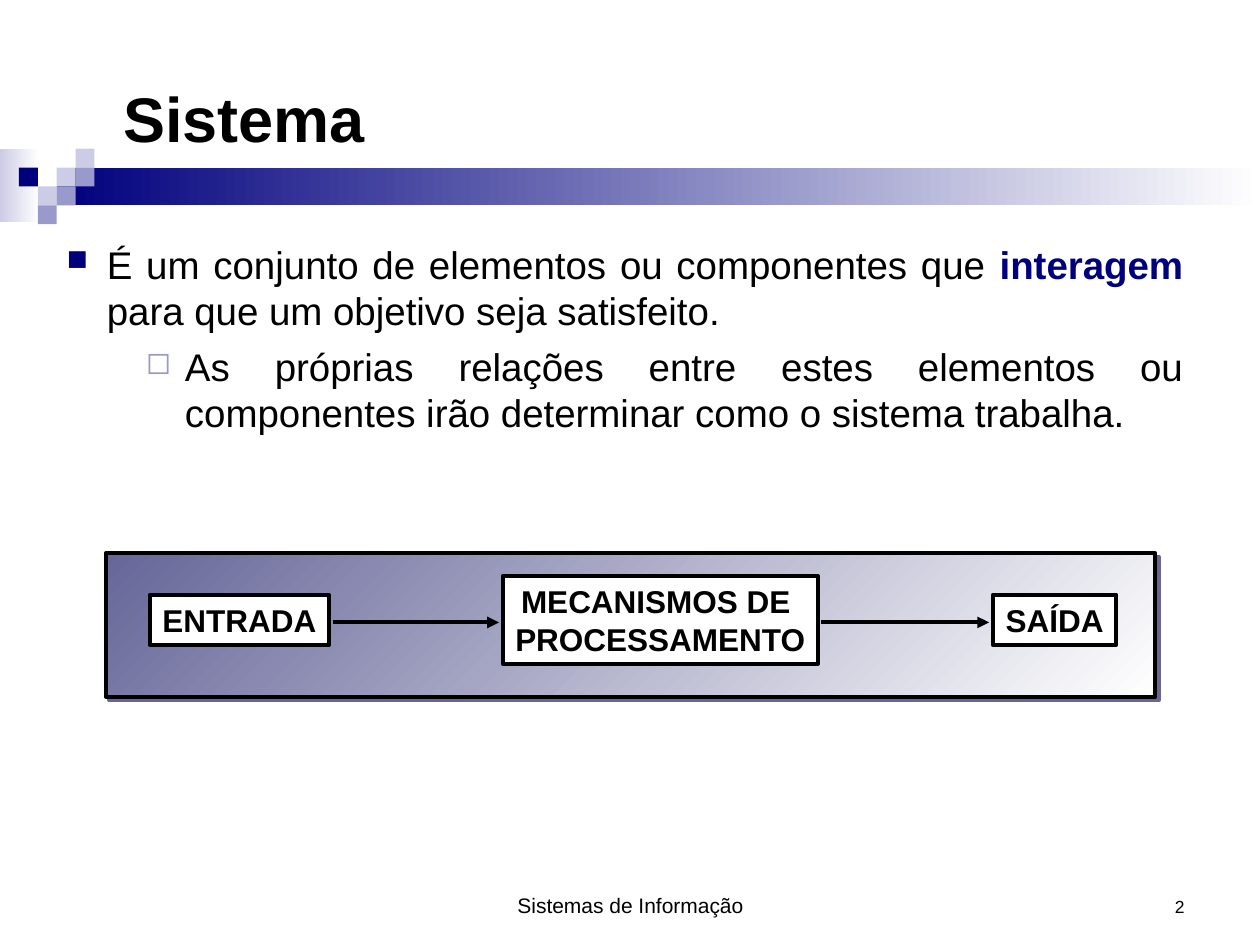
from lxml import etree
from pptx import Presentation
from pptx.dml.color import RGBColor
from pptx.enum.shapes import MSO_CONNECTOR, MSO_SHAPE
from pptx.enum.text import MSO_ANCHOR, MSO_AUTO_SIZE, PP_ALIGN
from pptx.oxml.ns import qn
from pptx.util import Inches, Pt

RECT, STRAIGHT = MSO_SHAPE.RECTANGLE, MSO_CONNECTOR.STRAIGHT
BOTTOM, MIDDLE, TOP = MSO_ANCHOR.BOTTOM, MSO_ANCHOR.MIDDLE, MSO_ANCHOR.TOP
LEFT, CENTER, RIGHT = PP_ALIGN.LEFT, PP_ALIGN.CENTER, PP_ALIGN.RIGHT
JUSTIFY = PP_ALIGN.JUSTIFY
NO_FIT = MSO_AUTO_SIZE.NONE

FONT = "Arial"
COLORS = {
    "black": "000000",
    "white": "FFFFFF",
    "navy": "00007D",
    "lilac": "9999CC",
    "pale": "CCCCE6",
    "slate": "666699",
}


def rgb(name):
    return RGBColor.from_string(COLORS[name])


def style_font(font, size, bold=False, color="black"):
    font.name, font.size, font.bold = FONT, Pt(size), bold
    font.color.rgb = rgb(color)


def add_rect(slide, left, top, width, height, fill, angle=0, outlined=False):
    """Rectangle with one colour, or a gradient when fill is a pair."""
    sp = slide.shapes.add_shape(
        RECT, Inches(left), Inches(top), Inches(width), Inches(height))
    sp.shadow.inherit = False
    if isinstance(fill, tuple):
        sp.fill.gradient()
        sp.fill.gradient_angle = angle
        for stop, name in zip(sp.fill.gradient_stops, fill):
            stop.color.rgb = rgb(name)
    else:
        sp.fill.solid()
        sp.fill.fore_color.rgb = rgb(fill)
    if outlined:
        sp.line.color.rgb = rgb("black")
        sp.line.width = Pt(2.25)
    else:
        sp.line.fill.background()
    return sp


def add_band(slide, left, top):
    """Gradient band with a mosaic of small squares at its left end."""
    side = 0.15
    add_rect(slide, left, top, 0.31, 0.58, ("pale", "white"))
    add_rect(slide, 0.45, top + side, 9.55, 2 * side, ("navy", "white"))
    squares = [  # column, row, colour
        (3, 1, "pale"), (4, 0, "pale"), (4, 1, "lilac"), (2, 2, "pale"),
        (1, 1, "navy"), (3, 2, "lilac"), (2, 3, "lilac"),
    ]
    for col, row, color in squares:
        add_rect(slide, left + col * side, top + row * side, side, side, color)


def add_title(slide, left, top, width, height, text):
    title = slide.shapes.title
    title.left, title.top = Inches(left), Inches(top)
    title.width, title.height = Inches(width), Inches(height)
    tf = title.text_frame
    tf.text = text
    tf.auto_size, tf.vertical_anchor = NO_FIT, BOTTOM
    p = tf.paragraphs[0]
    p.alignment = LEFT
    style_font(p.runs[0].font, 36, bold=True)


def add_textbox(slide, left, top, width, height, anchor):
    box = slide.shapes.add_textbox(
        Inches(left), Inches(top), Inches(width), Inches(height))
    tf = box.text_frame
    tf.word_wrap, tf.vertical_anchor = True, anchor
    return tf


def set_bullet(p, char, color, percent, left, hanging):
    pPr = p._p.get_or_add_pPr()
    pPr.set("marL", str(Inches(left)))
    pPr.set("indent", str(-Inches(hanging)))
    bu_color = etree.SubElement(pPr, qn("a:buClr"))
    etree.SubElement(bu_color, qn("a:srgbClr"), val=COLORS[color])
    etree.SubElement(pPr, qn("a:buSzPct"), val=str(percent * 1000))
    etree.SubElement(pPr, qn("a:buChar"), char=char)


def add_body(slide, left, top, width, height):
    tf = add_textbox(slide, left, top, width, height, TOP)
    first, second = tf.paragraphs[0], tf.add_paragraph()
    second.level = 1
    second.space_before = Pt(5.5)
    set_bullet(first, "■", "navy", 75, 0.32, 0.32)
    set_bullet(second, "◻", "lilac", 80, 0.94, 0.31)
    texts = [
        (first, "É um conjunto de elementos ou componentes que ", False),
        (first, "interagem", True),
        (first, " para que um objetivo seja satisfeito.", False),
        (second, "As próprias relações entre estes elementos ou componentes "
                 "irão determinar como o sistema trabalha.", False),
    ]
    for p, text, strong in texts:
        p.alignment = JUSTIFY
        r = p.add_run()
        r.text = text
        style_font(r.font, 22, strong, "navy" if strong else "black")


def add_hard_shadow(sp, color):
    effects = sp._element.spPr.find(qn("a:effectLst"))
    shadow = etree.SubElement(
        effects, qn("a:outerShdw"), dist=str(Pt(2.8)), dir=str(45 * 60000),
        algn="ctr", rotWithShape="0")
    etree.SubElement(shadow, qn("a:srgbClr"), val=COLORS[color])


def add_step(slide, left, top, width, height, text):
    sp = add_rect(slide, left, top, width, height, "white", outlined=True)
    tf = sp.text_frame
    tf.text = text
    tf.word_wrap, tf.vertical_anchor = False, MIDDLE
    for p in tf.paragraphs:
        p.alignment = CENTER
        style_font(p.runs[0].font, 18, bold=True)


def add_arrow(slide, start, end, y):
    line = slide.shapes.add_connector(
        STRAIGHT, Inches(start), Inches(y), Inches(end), Inches(y))
    line.line.color.rgb = rgb("black")
    line.line.width = Pt(2.25)
    etree.SubElement(line.line._get_or_add_ln(), qn("a:tailEnd"), type="triangle")
    etree.SubElement(line._element.spPr, qn("a:effectLst"))


def add_flow(slide, left, top, width, height):
    """Shaded panel with three steps joined by arrows."""
    panel = add_rect(slide, left, top, width, height, ("slate", "white"),
                     angle=315, outlined=True)
    add_hard_shadow(panel, "slate")
    middle, gap = top + 0.53, 0.03
    steps = [  # offset, width, height, text
        (0.35, 1.42, 0.4, "ENTRADA"),
        (3.15, 2.5, 0.7, "MECANISMOS DE \nPROCESSAMENTO"),
        (7.04, 0.98, 0.4, "SAÍDA"),
    ]
    for x, w, h, text in steps:
        add_step(slide, left + x, middle - h / 2, w, h, text)
    for (x, w, _, _), (next_x, _, _, _) in zip(steps, steps[1:]):
        add_arrow(slide, left + x + w + gap, left + next_x - gap, top + 0.55)


def add_footer(slide, top, height):
    items = [
        (3.42, 3.17, "Sistemas de Informação", 12, CENTER),
        (7.17, 2.33, "2", 10, RIGHT),
    ]
    for left, width, text, size, align in items:
        tf = add_textbox(slide, left, top, width, height, BOTTOM)
        tf.text = text
        p = tf.paragraphs[0]
        p.alignment = align
        style_font(p.runs[0].font, size)


def main():
    prs = Presentation()
    prs.slide_width, prs.slide_height = Inches(10), Inches(7.5)
    slide = prs.slides.add_slide(prs.slide_layouts[5])
    add_band(slide, 0, 1.18)
    add_footer(slide, 6.83, 0.5)
    add_title(slide, 0.88, -0.19, 9, 1.47, "Sistema")
    add_body(slide, 0.43, 1.86, 9.06, 5.28)
    add_flow(slide, 0.84, 4.39, 8.33, 1.14)
    prs.save("out.pptx")


if __name__ == "__main__":
    main()
